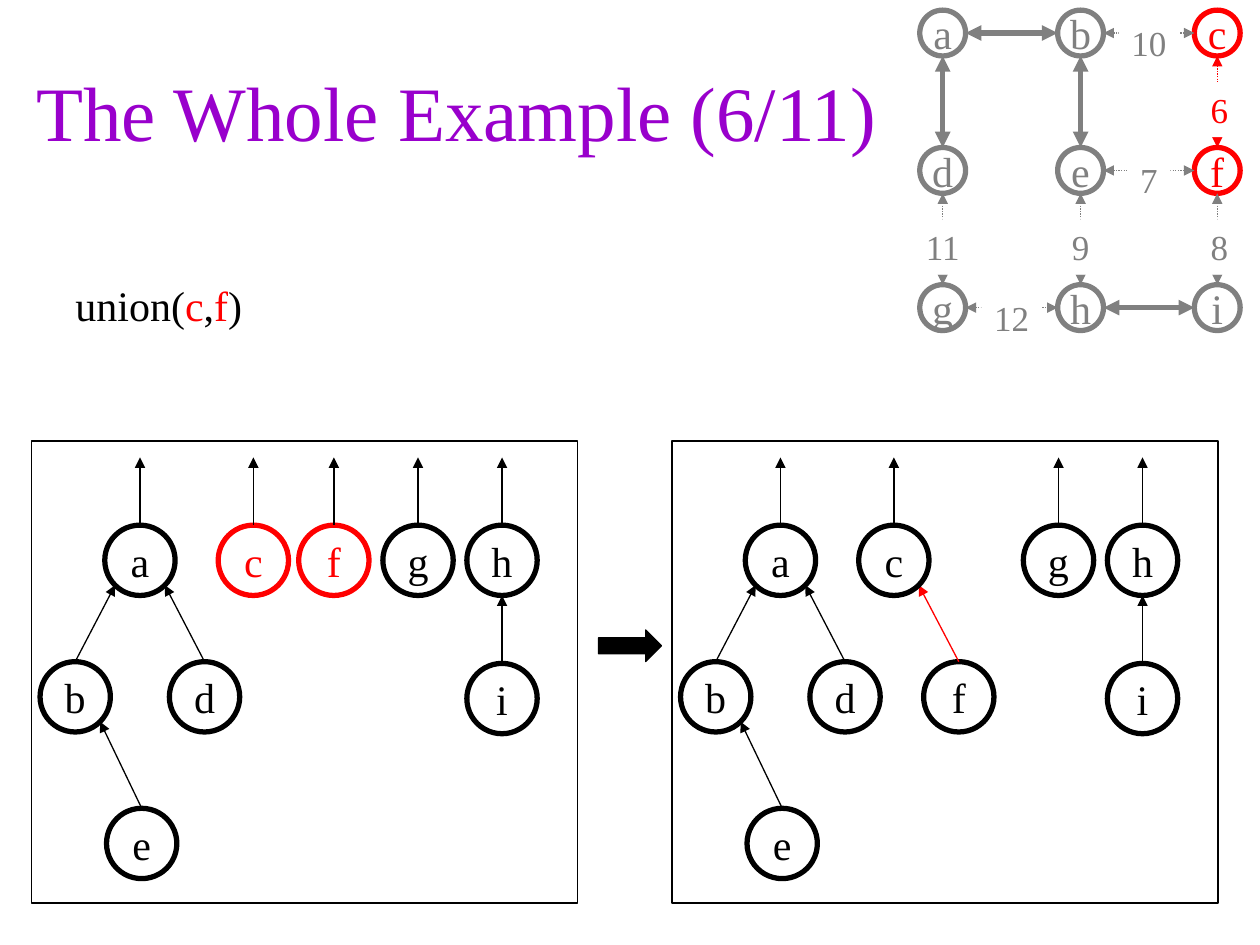
from math import sqrt

from lxml.etree import SubElement
from pptx import Presentation
from pptx.dml.color import RGBColor
from pptx.enum.dml import MSO_LINE
from pptx.enum.shapes import MSO_CONNECTOR, MSO_SHAPE
from pptx.enum.text import MSO_ANCHOR, MSO_AUTO_SIZE, PP_ALIGN
from pptx.oxml.ns import qn
from pptx.util import Pt

BLACK = RGBColor(0x00, 0x00, 0x00)
WHITE = RGBColor(0xFF, 0xFF, 0xFF)
GRAY = RGBColor(0x80, 0x80, 0x80)
RED = RGBColor(0xFF, 0x00, 0x00)
PURPLE = RGBColor(0x99, 0x00, 0xCC)

# Weighted graph: a grid of nodes
COLUMNS, ROWS = (538.7, 617.5, 695.6), (18.9, 97.4, 175.8)
GRAPH_NODE = 26.2
GRAPH = {name: (COLUMNS[index % 3], ROWS[index // 3])
         for index, name in enumerate("abcdefghi")}
RED_GRAPH = "cf"
SOLID_EDGES = ("ab", "ad", "be", "hi")
# Edge: weight, width of its label
WEIGHTED_EDGES = {"dg": ("11", 35.3), "bc": ("10", 34.6), "ef": ("7", 24.5),
                  "eh": ("9", 41.8), "cf": ("6", 21.6), "fi": ("8", 21.6),
                  "gh": ("12", 34.6)}

# Forests: node centres relative to their panel
TREE_NODE = 40.2
PANEL_TOP, PANEL_WIDTH, PANEL_HEIGHT = 252, 312, 264
ROOT_ARROW_TIP = 9.4
BEFORE = {"f": (172.8, 68.2), "g": (220.9, 68.2), "h": (268.9, 68.2),
          "a": (62, 68.2), "b": (25, 146.2), "c": (126.8, 68.2),
          "i": (268.9, 147.2), "d": (98.9, 146.2), "e": (63, 230)}
AFTER = BEFORE | {"f": (163.9, 146.2)}
PARENTS_BEFORE = {"b": "a", "d": "a", "e": "b", "i": "h"}
PARENTS_AFTER = PARENTS_BEFORE | {"f": "c"}


def write(box, text, size=24, color=BLACK, font="Times New Roman",
          align=PP_ALIGN.CENTER, anchor=MSO_ANCHOR.MIDDLE, wrap=False,
          fit=MSO_AUTO_SIZE.NONE):
    """Write text, given as a string or as (string, colour) pairs."""
    frame = box.text_frame
    frame.word_wrap, frame.auto_size = wrap, fit
    frame.vertical_anchor = anchor
    para = frame.paragraphs[0]
    para.alignment = align
    for part, part_color in [(text, color)] if isinstance(text, str) else text:
        span = para.add_run()
        span.text = part
        span.font.name, span.font.size = font, Pt(size)
        span.font.color.rgb = part_color


class Drawing:
    """Draws the elements of the current page in one style."""

    thick, thin = 3, 0.75

    def __init__(self, page):
        self.page = page

    def title(self, text, left, top, width, height):
        box = self.page.shapes.title
        box.left, box.top = Pt(left), Pt(top)
        box.width, box.height = Pt(width), Pt(height)
        write(box, text, size=44, color=PURPLE, wrap=True)

    def text(self, text, left, top, width, height):
        box = self.page.shapes.add_textbox(Pt(left), Pt(top), Pt(width), Pt(height))
        write(box, text, align=PP_ALIGN.LEFT, anchor=MSO_ANCHOR.TOP, wrap=True)

    def shape(self, kind, left, top, width, height, fill=None, line=None,
              weight=thin):
        shape = self.page.shapes.add_shape(kind, Pt(left), Pt(top), Pt(width), Pt(height))
        shape.shadow.inherit = False
        if fill is None:
            shape.fill.background()
        else:
            shape.fill.solid()
            shape.fill.fore_color.rgb = fill
        if line is None:
            shape.line.fill.background()
        else:
            shape.line.color.rgb = line
            shape.line.width = Pt(weight)
        return shape

    def node(self, name, center, size, color):
        x, y = center
        shape = self.shape(MSO_SHAPE.OVAL, x - size / 2, y - size / 2, size, size,
                           line=color, weight=self.thick)
        write(shape, name, color=color)

    def label(self, text, center_x, top, width, color, wrap):
        box = self.shape(MSO_SHAPE.RECTANGLE, center_x - width / 2, top, width, 31.5,
                         fill=WHITE)
        write(box, text, size=20, color=color, anchor=MSO_ANCHOR.TOP, wrap=wrap,
              fit=MSO_AUTO_SIZE.SHAPE_TO_FIT_TEXT)

    def arrow(self, start, end, color=BLACK, weight=thin, dotted=False, both=False):
        line = self.page.shapes.add_connector(
            MSO_CONNECTOR.STRAIGHT, *(Pt(value) for value in (*start, *end)))
        line.line.color.rgb = color
        line.line.width = Pt(weight)
        if dotted:
            line.line.dash_style = MSO_LINE.ROUND_DOT
        properties = line._element.spPr
        outline = properties.find(qn("a:ln"))
        for tag in ("a:headEnd", "a:tailEnd") if both else ("a:tailEnd",):
            SubElement(outline, qn(tag)).set("type", "triangle")
        SubElement(properties, qn("a:effectLst"))


def draw_graph(drawing):
    radius = GRAPH_NODE / 2
    for name, center in GRAPH.items():
        drawing.node(name, center, GRAPH_NODE, RED if name in RED_GRAPH else GRAY)
    for edge in (*SOLID_EDGES, *WEIGHTED_EDGES):
        (x1, y1), (x2, y2) = (GRAPH[name] for name in edge)
        dx, dy = (radius, 0) if y1 == y2 else (0, radius)
        solid = edge in SOLID_EDGES
        drawing.arrow((x1 + dx, y1 + dy), (x2 - dx, y2 - dy),
                      color=RED if edge == RED_GRAPH else GRAY,
                      weight=drawing.thick if solid else drawing.thin,
                      dotted=not solid, both=True)
    # Weights cover the middle of their edges
    for edge, (weight, width) in WEIGHTED_EDGES.items():
        (x1, y1), (x2, y2) = (GRAPH[name] for name in edge)
        vertical = x1 == x2
        drawing.label(weight, (x1 + x2) / 2, (y1 + y2) / 2 - (11.2 if vertical else 10.2),
                      width, RED if edge == RED_GRAPH else GRAY, wrap=vertical)


def draw_forest(drawing, left, nodes, parents, red_nodes="", red_links=""):
    drawing.shape(MSO_SHAPE.RECTANGLE, left, PANEL_TOP, PANEL_WIDTH, PANEL_HEIGHT,
                  fill=WHITE, line=BLACK)
    radius = TREE_NODE / 2
    centers = {name: (left + x, PANEL_TOP + y) for name, (x, y) in nodes.items()}
    for name, (x, y) in centers.items():
        drawing.node(name, (x, y), TREE_NODE, RED if name in red_nodes else BLACK)
        if name not in parents:
            end = (x, PANEL_TOP + ROOT_ARROW_TIP)
        else:
            parent_x, parent_y = centers[parents[name]]
            if parent_x == x:
                end = (x, parent_y + radius)
            else:
                reach = radius / sqrt(2)
                end = (parent_x + (reach if x > parent_x else -reach), parent_y + reach)
        drawing.arrow((x, y - radius), end, color=RED if name in red_links else BLACK)


def main():
    deck = Presentation()
    deck.slide_width, deck.slide_height = Pt(720), Pt(540)
    drawing = Drawing(deck.slides.add_slide(deck.slide_layouts[5]))

    # Heading and current operation
    drawing.title("The Whole Example (6/11)", 6, 18, 510, 90)
    drawing.text([("union(", BLACK), ("c", RED), (",", BLACK), ("f", RED), (")", BLACK)],
                 36, 156, 116, 36)

    draw_graph(drawing)

    # Forests before and after the union
    draw_forest(drawing, 18, BEFORE, PARENTS_BEFORE, red_nodes="cf")
    draw_forest(drawing, 384, AFTER, PARENTS_AFTER, red_links="f")
    drawing.shape(MSO_SHAPE.RIGHT_ARROW, 342, 360, 36, 18, fill=BLACK, line=BLACK)

    deck.save("out.pptx")


if __name__ == "__main__":
    main()
